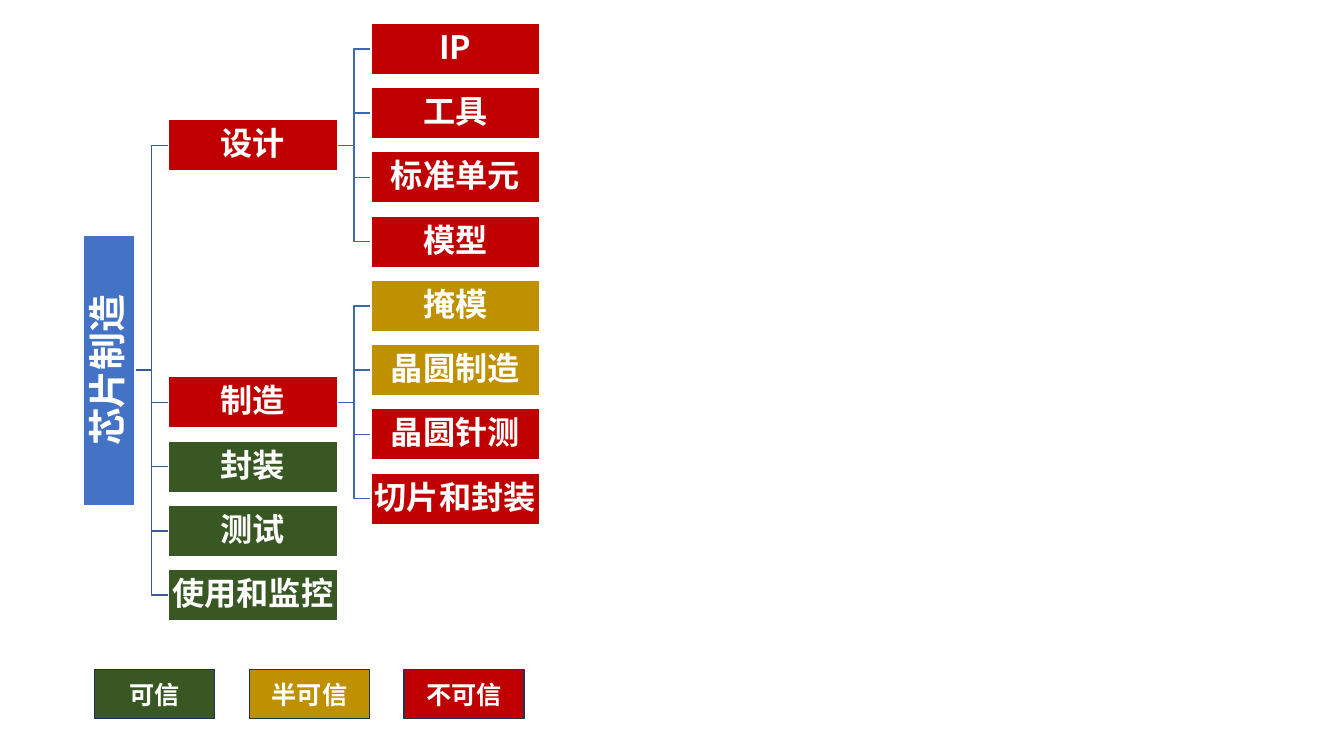
from lxml import etree
from pptx import Presentation
from pptx.dml.color import RGBColor
from pptx.enum.shapes import MSO_CONNECTOR, MSO_SHAPE
from pptx.enum.text import MSO_ANCHOR, PP_ALIGN
from pptx.oxml.ns import qn
from pptx.util import Pt

ELBOW = MSO_CONNECTOR.ELBOW
RECTANGLE = MSO_SHAPE.RECTANGLE
MIDDLE = MSO_ANCHOR.MIDDLE
CENTER = PP_ALIGN.CENTER
BOTTOM_SITE, LEFT_SITE, RIGHT_SITE = 2, 1, 3

FONT = "Noto Sans CJK SC"
COLORS = {
    "root": "4472C4",
    "trusted": "385723",
    "semi": "BF9000",
    "untrusted": "C00000",
    "white": "FFFFFF",
    "legend line": "1E3256",
    "root link": "365B9D",
    "stage link": "3E67B2",
}
ROOT = "芯片制造"
STAGES = [
    ("设计", "untrusted", [("IP", "untrusted"), ("工具", "untrusted"),
                         ("标准单元", "untrusted"), ("模型", "untrusted")]),
    ("制造", "untrusted", [("掩模", "semi"), ("晶圆制造", "semi"),
                         ("晶圆针测", "untrusted"), ("切片和封装", "untrusted")]),
    ("封装", "trusted", []),
    ("测试", "trusted", []),
    ("使用和监控", "trusted", []),
]
LEGEND = [("可信", "trusted"), ("半可信", "semi"), ("不可信", "untrusted")]

NODE_WIDTH, NODE_HEIGHT = 120.5, 36.7
ROOT_LENGTH = 193
COLUMN_STEP, ROW_STEP = 144.6, 45.9
LEGEND_WIDTH, LEGEND_STEP = 85.7, 110.5


def rgb(name):
    return RGBColor.from_string(COLORS[name])


def add_box(page, label, fill, area, size, line="white", spacing=None, margin=None):
    box = page.shapes.add_shape(RECTANGLE, *(Pt(length) for length in area))
    box.shadow.inherit = False
    box.fill.solid()
    box.fill.fore_color.rgb = rgb(fill)
    box.line.color.rgb = rgb(line)
    box.line.width = Pt(1)
    frame = box.text_frame
    frame.vertical_anchor = MIDDLE
    if margin is not None:
        for side in ("left", "top", "right", "bottom"):
            setattr(frame, f"margin_{side}", Pt(margin))
    para = frame.paragraphs[0]
    para.alignment = CENTER
    para.line_spacing = spacing
    span = para.add_run()
    span.text = label
    for key, value in {"name": FONT, "size": Pt(size), "bold": True}.items():
        setattr(span.font, key, value)
    span.font.color.rgb = rgb("white")
    east_asian = etree.SubElement(span.font._element, qn("a:ea"))
    east_asian.set("typeface", FONT)
    return box


def add_node(page, label, fill, center_x, center_y, width=NODE_WIDTH, size=23):
    area = (center_x - width / 2, center_y - NODE_HEIGHT / 2, width, NODE_HEIGHT)
    return add_box(page, label, fill, area, size, spacing=0.9, margin=1.44)


def link(page, parent, child, color, parent_site=RIGHT_SITE):
    """Join parent to child with an elbow line placed behind the boxes."""
    line = page.shapes.add_connector(ELBOW, 0, 0, 0, 0)
    line.begin_connect(parent, parent_site)
    line.end_connect(child, LEFT_SITE)
    # The visible right side of a turned parent lies half its height from its center.
    reach = parent.height if parent.rotation else parent.width
    line.begin_x = int(parent.left + (parent.width + reach) / 2)
    line.begin_y = int(parent.top + parent.height / 2)
    line.line.color.rgb = rgb(color)
    line.line.width = Pt(1)
    etree.SubElement(line._element.spPr, qn("a:effectLst"))
    page.shapes._spTree.insert(2, line._element)


def add_tree(page, left, top):
    """Draw the tree; a stage sits midway beside its parts, or one row further down."""
    stage_x = left + NODE_HEIGHT + 23.9 + NODE_WIDTH / 2
    first_y = top + NODE_HEIGHT / 2
    next_row, stage_row = 0, 0
    stage_rows, stage_boxes = [], []
    for label, fill, parts in STAGES:
        part_rows = range(next_row, next_row + len(parts))
        stage_row = sum(part_rows) / len(parts) if parts else stage_row + 1
        stage = add_node(page, label, fill, stage_x, first_y + stage_row * ROW_STEP)
        for row, (part_label, part_fill) in zip(part_rows, parts):
            part = add_node(page, part_label, part_fill, stage_x + COLUMN_STEP,
                            first_y + row * ROW_STEP)
            link(page, stage, part, "stage link")
        next_row += len(parts)
        stage_rows.append(stage_row)
        stage_boxes.append(stage)

    root_row = (stage_rows[0] + stage_rows[-1]) / 2
    root = add_node(page, ROOT, "root", left + NODE_HEIGHT / 2,
                    first_y + root_row * ROW_STEP, ROOT_LENGTH, 27)
    root.rotation = 270
    for stage in stage_boxes:
        link(page, root, stage, "root link", BOTTOM_SITE)


def add_legend(page, left, top, height):
    for index, (label, fill) in enumerate(LEGEND):
        area = (left + index * LEGEND_STEP, top, LEGEND_WIDTH, height)
        add_box(page, label, fill, area, 18, line="legend line")


def main():
    deck = Presentation()
    deck.slide_width, deck.slide_height = Pt(960), Pt(540)
    page = deck.slides.add_slide(deck.slide_layouts[6])
    add_tree(page, 59.8, 16.6)
    add_legend(page, 67.7, 478, 35.3)
    deck.save("out.pptx")


if __name__ == "__main__":
    main()
